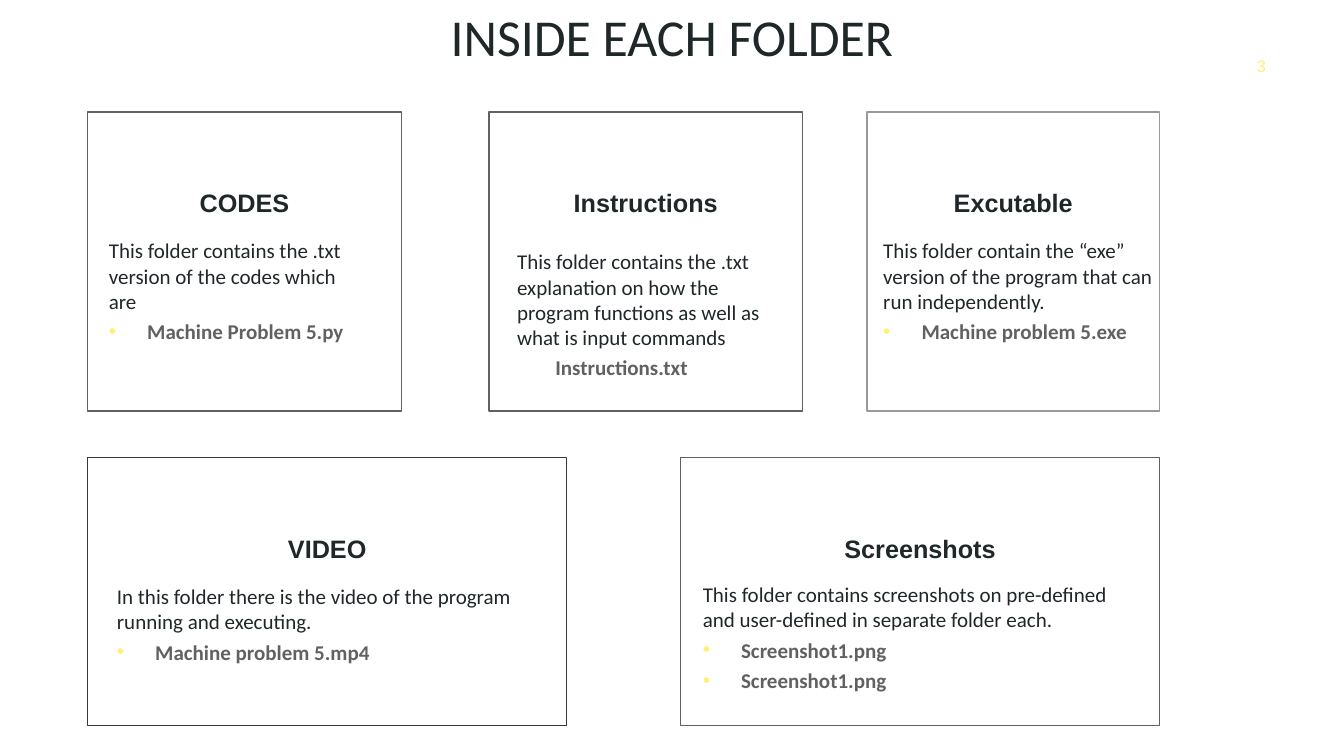
from dataclasses import dataclass

from lxml import etree
from pptx import Presentation
from pptx.dml.color import RGBColor
from pptx.enum.shapes import MSO_SHAPE
from pptx.enum.text import MSO_ANCHOR, MSO_AUTO_SIZE, PP_ALIGN
from pptx.oxml.ns import qn
from pptx.slide import Slide
from pptx.util import Inches, Pt

RECTANGLE = MSO_SHAPE.RECTANGLE
TOP, MIDDLE = MSO_ANCHOR.TOP, MSO_ANCHOR.MIDDLE
LEFT, CENTER = PP_ALIGN.LEFT, PP_ALIGN.CENTER
NO_AUTOFIT = MSO_AUTO_SIZE.NONE
COMPARISON_LAYOUT = 4


def color(value):
    return RGBColor.from_string(value)


def apply(target, values):
    for name, value in values.items():
        setattr(target, name, value)


@dataclass
class FolderSlide:
    slide: Slide
    heading_font: str = "Arial"
    body_font: str = "Calibri"
    ink: str = "202729"
    muted: str = "616161"
    accent: str = "FFF176"

    def place(self, shape, area):
        names = ("left", "top", "width", "height")
        apply(shape, dict(zip(names, map(Inches, area))))

    def frame(self, shape, anchor=TOP, top_inset=0.05):
        apply(shape.text_frame, {
            "word_wrap": True,
            "auto_size": NO_AUTOFIT,
            "vertical_anchor": anchor,
            "margin_left": Inches(0.1),
            "margin_right": Inches(0.1),
            "margin_top": Inches(top_inset),
            "margin_bottom": Inches(0.05),
        })
        return shape.text_frame

    def add_text(self, para, text, font, size, tint, bold=False, align=LEFT, before=0):
        apply(para, {"alignment": align, "space_before": Pt(before), "line_spacing": 1.0})
        span = para.add_run()
        span.text = text
        apply(span.font, {"name": font, "size": Pt(size), "bold": bold})
        span.font.color.rgb = color(tint)

    def indent(self, para, margin=0, first=0, bullet=None):
        properties = para._p.get_or_add_pPr()
        properties.set("marL", str(Inches(margin)))
        properties.set("indent", str(Inches(first)))
        if bullet is None:
            etree.SubElement(properties, qn("a:buNone"))
            return
        tint = etree.SubElement(properties, qn("a:buClr"))
        etree.SubElement(tint, qn("a:srgbClr"), val=self.accent)
        etree.SubElement(properties, qn("a:buFont"), typeface=self.heading_font)
        etree.SubElement(properties, qn("a:buChar"), char=bullet)

    def title(self, text, area):
        box = self.slide.shapes.title
        self.place(box, area)
        para = self.frame(box).paragraphs[0]
        self.add_text(para, text, self.body_font, 37, self.ink, align=CENTER)

    def page_number(self, text, area):
        box = self.slide.shapes.add_textbox(*map(Inches, area))
        para = self.frame(box, MIDDLE).paragraphs[0]
        self.add_text(para, text, self.heading_font, 12, self.accent, align=CENTER)

    def card(self, heading, area, outline):
        box = self.slide.shapes.add_shape(RECTANGLE, *map(Inches, area))
        box.shadow.inherit = False
        box.fill.background()
        box.line.color.rgb = color(outline)
        box.line.width = Pt(1)
        para = self.frame(box, top_inset=0.75).paragraphs[0]
        self.add_text(para, heading, self.heading_font, 18, self.ink, True, CENTER)

    def description(self, text, files, area, placeholder=None):
        if placeholder is None:
            box = self.slide.shapes.add_textbox(*map(Inches, area))
            file_indent = (0.38, 0)
        else:
            box = self.slide.placeholders[placeholder]
            self.place(box, area)
            file_indent = (0.38, -0.38, "•")
        frame = self.frame(box)
        para = frame.paragraphs[0]
        self.add_text(para, text, self.body_font, 15, self.ink)
        self.indent(para)
        for file in files:
            para = frame.add_paragraph()
            self.add_text(para, file, self.body_font, 15, self.muted, True, before=3.6)
            self.indent(para, *file_indent)


UPPER, LOWER = (1.11, 2.97), (4.54, 2.66)

FOLDERS = [
    ("CODES", 0.87, 3.11, UPPER, "616161",
     "This folder contains the .txt version of the codes which are",
     ["Machine Problem 5.py"], (0.98, 2.31, 2.75, 1.53), 1),
    ("VIDEO", 0.87, 4.75, LOWER, "353744",
     "In this folder there is the video of the program running and executing.",
     ["Machine problem 5.mp4"], (1.06, 5.74, 4.51, 1.22), 2),
    ("Excutable", 8.6, 2.9, UPPER, "999999",
     "This folder contain the “exe” version of the program that can run independently.",
     ["Machine problem 5.exe"], (8.66, 2.31, 2.9, 1.94), 3),
    ("Screenshots", 6.75, 4.75, LOWER, "616161",
     "This folder contains screenshots on pre-defined and user-defined in separate folder each.",
     ["Screenshot1.png"] * 2, (6.87, 5.72, 4.51, 1.48), 4),
    ("Instructions", 4.85, 3.11, UPPER, "616161",
     "This folder contains the .txt explanation on how the program functions "
     "as well as what is input commands",
     ["Instructions.txt"], (5.03, 2.42, 2.75, 1.53), None),
]


def main():
    deck = Presentation()
    apply(deck, {"slide_width": Inches(13.33), "slide_height": Inches(7.5)})
    page = FolderSlide(deck.slides.add_slide(deck.slide_layouts[COMPARISON_LAYOUT]))
    page.title("INSIDE EACH FOLDER", (0.83, 0, 11.67, 0.84))
    page.page_number("3", (11.97, 0.5, 1.08, 0.3))
    for heading, left, width, (top, height), outline, text, files, area, slot in FOLDERS:
        page.card(heading, (left, top, width, height), outline)
        page.description(text, files, area, slot)
    deck.save("out.pptx")


if __name__ == "__main__":
    main()
